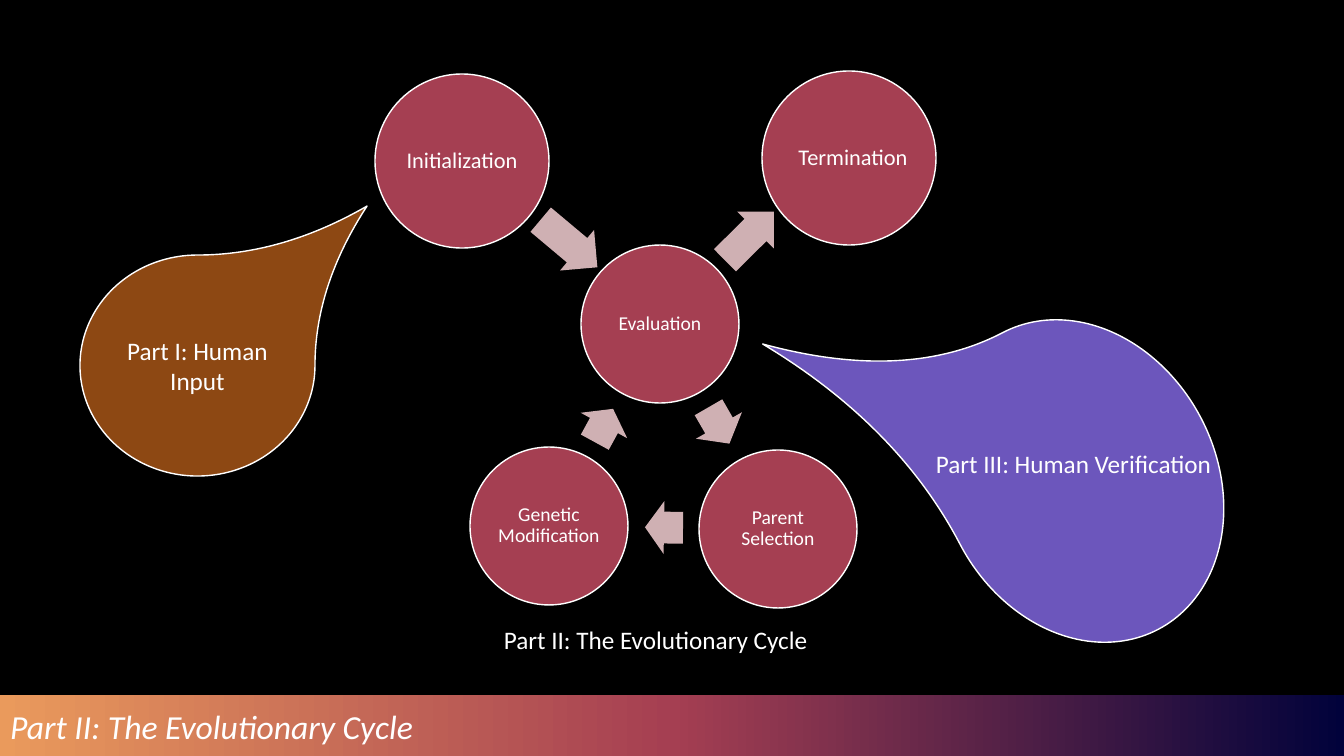
"""Build the evolutionary cycle slide."""
import lxml.etree
import pptx
import pptx.dml.color
import pptx.enum.shapes
import pptx.enum.text
import pptx.oxml
import pptx.oxml.ns
import pptx.util

PX = 914400 / 100.8
SHAPE = pptx.enum.shapes.MSO_SHAPE
ALIGN = pptx.enum.text.PP_ALIGN
ANCHOR = pptx.enum.text.MSO_ANCHOR
WHITE, BLACK = "FFFFFF", "000000"
RED, PINK, BROWN, PURPLE = "A53F52", "CFB0B3", "8D4813", "6C56BC"
BAND_STOPS = [(0, "EA9A5C"), (50, RED), (100, "01023B")]

STEPS = [
    ("Evaluation", 581, 245, 158, 14, 0),
    ("Parent Selection", 699, 450, 158, 14, 0),
    ("Genetic Modification", 470, 447, 158, 14, 0),
    ("Initialization", 375, 74, 174, 16, 0),
    ("Termination", 762, 71, 174, 16, 8),
]
ARROWS = [
    (698, 399, 42, 53, 60),
    (645, 501, 38, 53, 180.8),
    (585, 399, 38, 53, 298.7),
    (532, 217, 74, 53, 40),
    (715, 210, 69, 52, 315.3),
]


def px(n):
    """Turn px into EMU."""
    return pptx.util.Emu(round(n * PX))


def rgb(color):
    """Turn a hex string into a colour."""
    return pptx.dml.color.RGBColor.from_string(color)


def write(sp, text, size, align=ALIGN.LEFT, anchor=ANCHOR.TOP, italic=False):
    """Put one formatted run into a shape and return its paragraph."""
    tf = sp.text_frame
    tf.word_wrap = True
    tf.auto_size = pptx.enum.text.MSO_AUTO_SIZE.NONE
    tf.vertical_anchor = anchor
    p = tf.paragraphs[0]
    p.alignment = align
    r = p.add_run()
    r.text = text
    r.font.name = "Calibri"
    r.font.size = pptx.util.Pt(size)
    r.font.italic = italic
    r.font.color.rgb = rgb(WHITE)
    return p


def add_shape(s, kind, x, y, w, h, fill, outlined=True, rotation=0):
    """Add a flat preset shape with an optional white outline."""
    sp = s.shapes.add_shape(kind, px(x), px(y), px(w), px(h))
    sp.shadow.inherit = False
    sp.rotation = rotation
    sp.fill.solid()
    sp.fill.fore_color.rgb = rgb(fill)
    if outlined:
        sp.line.color.rgb = rgb(WHITE)
        sp.line.width = pptx.util.Pt(1)
    else:
        sp.line.fill.background()
    return sp


def add_band(s):
    """Add the gradient band along the bottom."""
    sp = add_shape(s, SHAPE.RECTANGLE, 0, 695, 1344, 61, RED, outlined=False)
    stops = "".join(
        f'<a:gs pos="{pos * 1000}"><a:srgbClr val="{color}"/></a:gs>'
        for pos, color in BAND_STOPS
    )
    grad = pptx.oxml.parse_xml(
        f'<a:gradFill {pptx.oxml.ns.nsdecls("a")}><a:gsLst>{stops}</a:gsLst>'
        '<a:lin ang="0" scaled="0"/></a:gradFill>'
    )
    props = sp.element.spPr
    props.replace(props.find(pptx.oxml.ns.qn("a:solidFill")), grad)


def add_title(s, text):
    """Place the title over the band."""
    sp = s.shapes.title
    sp.left, sp.top, sp.width, sp.height = px(0), px(701), px(1344), px(50)
    write(sp, text, 24, italic=True)


def add_step(s, text, x, y, size, pt, indent):
    """Add a circle with a centred step name."""
    sp = add_shape(s, SHAPE.OVAL, x, y, size, size, RED)
    tf = sp.text_frame
    tf.margin_left = px(2 + indent)
    tf.margin_right = tf.margin_top = tf.margin_bottom = px(2)
    write(sp, text, pt, ALIGN.CENTER, ANCHOR.MIDDLE).line_spacing = 0.9


def add_arrow(s, x, y, w, h, rotation):
    """Add a block arrow between two steps."""
    sp = add_shape(s, SHAPE.RIGHT_ARROW, x, y, w, h, PINK, False, rotation)
    sp.adjustments[0] = 0.6
    sp.adjustments[1] = 0.5


def add_teardrop(s, x, y, w, h, fill, tip, rotation=0):
    """Add a teardrop with a stretched tip."""
    sp = add_shape(s, SHAPE.TEAR, x, y, w, h, fill, rotation=rotation)
    sp.adjustments[0] = tip
    return sp


def add_label(s, text, x, y, w):
    """Add a one-line text box."""
    sp = s.shapes.add_textbox(px(x), px(y), px(w), px(40))
    write(sp, text, 18)


def main():
    """Build and save the slide."""
    prs = pptx.Presentation()
    prs.slide_width, prs.slide_height = px(1344), px(756)
    s = prs.slides.add_slide(prs.slide_layouts[5])
    s.background.fill.solid()
    s.background.fill.fore_color.rgb = rgb(BLACK)
    add_band(s)
    band = s.shapes[-1].element
    s.shapes.title.element.addprevious(band)
    add_title(s, "Part II: The Evolutionary Cycle")
    for step in STEPS:
        add_step(s, *step)
    for arrow in ARROWS:
        add_arrow(s, *arrow)
    human_input = add_teardrop(s, 80, 255, 235, 221, BROWN, 1.443)
    write(human_input, "Part I: Human Input", 18, ALIGN.CENTER, ANCHOR.MIDDLE)
    add_teardrop(s, 913, 345, 335, 272, PURPLE, 1.604, 242.4)
    add_label(s, "Part III: Human Verification", 926, 443, 300)
    add_label(s, "Part II: The Evolutionary Cycle", 494, 619, 364)
    prs.save("out.pptx")


if __name__ == "__main__":
    main()
